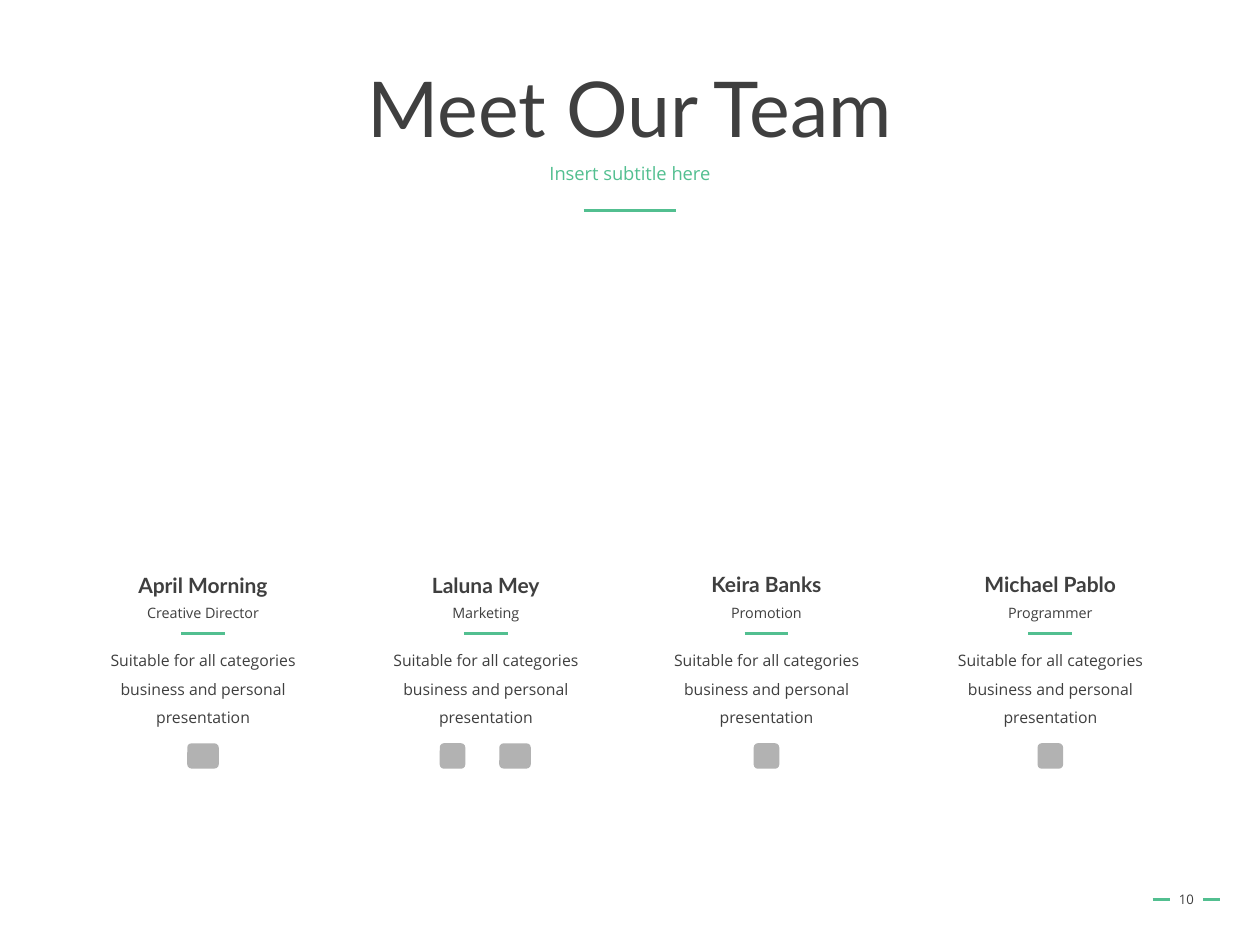
from lxml.etree import SubElement
from pptx import Presentation
from pptx.dml.color import RGBColor
from pptx.enum.shapes import MSO_CONNECTOR, MSO_SHAPE
from pptx.enum.text import MSO_ANCHOR, MSO_AUTO_SIZE, PP_ALIGN
from pptx.oxml.ns import qn
from pptx.util import Pt

GREEN, DARK, GREY = "52BF90", "3F3F3F", "B2B2B2"
HEAD, BODY = "Lato", "Open Sans"
TITLE, SUBTITLE, PAGE = "Meet Our Team", "Insert subtitle here", "10"
ABOUT = "Suitable for all categories business and personal presentation"
WIDE, SQUARE = (18, 14.4), (14.6, 14.6)
TEAM = [
    ("April Morning", "Creative Director", 116, 323.5, [(0, WIDE)]),
    ("Laluna Mey", "Marketing", 277.6, 323.5, [(-19, SQUARE), (16.7, WIDE)]),
    ("Keira Banks", "Promotion", 438, 322.8, [(0, SQUARE)]),
    ("Michael Pablo", "Programmer", 600.2, 322.8, [(0, SQUARE)]),
]
RULES = [(360, 120.1, 53), (663.5, 513.8, 9.6), (692.3, 513.8, 9.6)]


def color(value):
    """Turn a hex string into a colour."""
    return RGBColor.from_string(value)


def write(sp, text, size, font=BODY, fill=DARK, bold=False, spacing=1.0, anchor=MSO_ANCHOR.TOP):
    """Fill a shape with one centred paragraph."""
    tf = sp.text_frame
    tf.text = text
    tf.word_wrap = True
    tf.auto_size = MSO_AUTO_SIZE.NONE
    tf.vertical_anchor = anchor
    p = tf.paragraphs[0]
    p.alignment, p.line_spacing = PP_ALIGN.CENTER, spacing
    f = p.runs[0].font
    f.name, f.size, f.bold = font, Pt(size), bold
    f.color.rgb = color(fill)


def add_text(s, cx, top, width, height, text, size, **style):
    """Add a text box centred on cx."""
    sp = s.shapes.add_textbox(Pt(cx - width / 2), Pt(top), Pt(width), Pt(height))
    write(sp, text, size, **style)
    return sp


def add_rule(s, cx, y, width):
    """Add a horizontal green line centred on cx."""
    line = s.shapes.add_connector(
        MSO_CONNECTOR.STRAIGHT, Pt(cx - width / 2), Pt(y), Pt(cx + width / 2), Pt(y))
    line.line.color.rgb = color(GREEN)
    line.line.width = Pt(1.75)
    SubElement(line._element.spPr, qn("a:effectLst"))


def add_icon(s, cx, cy, width, height):
    """Add a plain grey icon tile centred on a point."""
    sp = s.shapes.add_shape(
        MSO_SHAPE.ROUNDED_RECTANGLE,
        Pt(cx - width / 2), Pt(cy - height / 2), Pt(width), Pt(height))
    sp.shadow.inherit = False
    sp.fill.solid()
    sp.fill.fore_color.rgb = color(GREY)
    sp.line.fill.background()


def add_member(s, name, role, cx, name_top, icons):
    """Add one column of the team."""
    add_text(s, cx, 363, 137, 56, ABOUT, 9, spacing=1.5)
    add_text(s, cx, name_top, 123, 21.6, name, 12, font=HEAD, bold=True)
    add_text(s, cx, 341.6, 123, 17, role, 8.2)
    add_rule(s, cx, 362, 25)
    for dx, size in icons:
        add_icon(s, cx + dx, 432, *size)


def main():
    """Build the team slide."""
    prs = Presentation()
    prs.slide_width, prs.slide_height = Pt(720), Pt(540)
    s = prs.slides.add_slide(prs.slide_layouts[5])
    title = s.shapes.title
    title.left, title.top, title.width, title.height = Pt(49.5), Pt(28.8), Pt(621), Pt(70.5)
    write(title, TITLE, 44, font=HEAD, spacing=0.9, anchor=MSO_ANCHOR.MIDDLE)
    subtitle = add_text(s, 360, 90.7, 621, 28.8, SUBTITLE, 10.5, fill=GREEN, spacing=0.9)
    subtitle.text_frame.paragraphs[0].space_before = Pt(10)
    for rule in RULES:
        add_rule(s, *rule)
    add_text(s, 678, 499.7, 32, 28.8, PAGE, 7.5, anchor=MSO_ANCHOR.MIDDLE)
    for member in TEAM:
        add_member(s, *member)
    prs.save("out.pptx")


if __name__ == "__main__":
    main()
